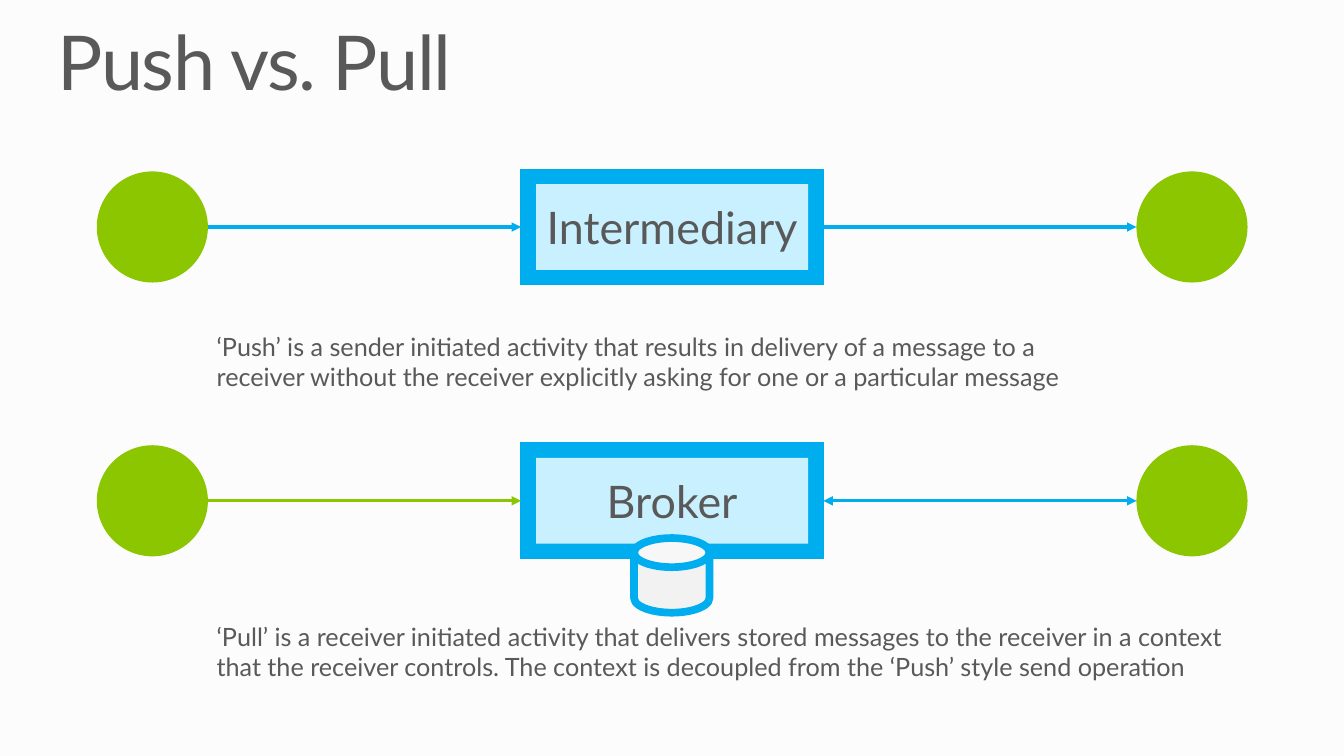
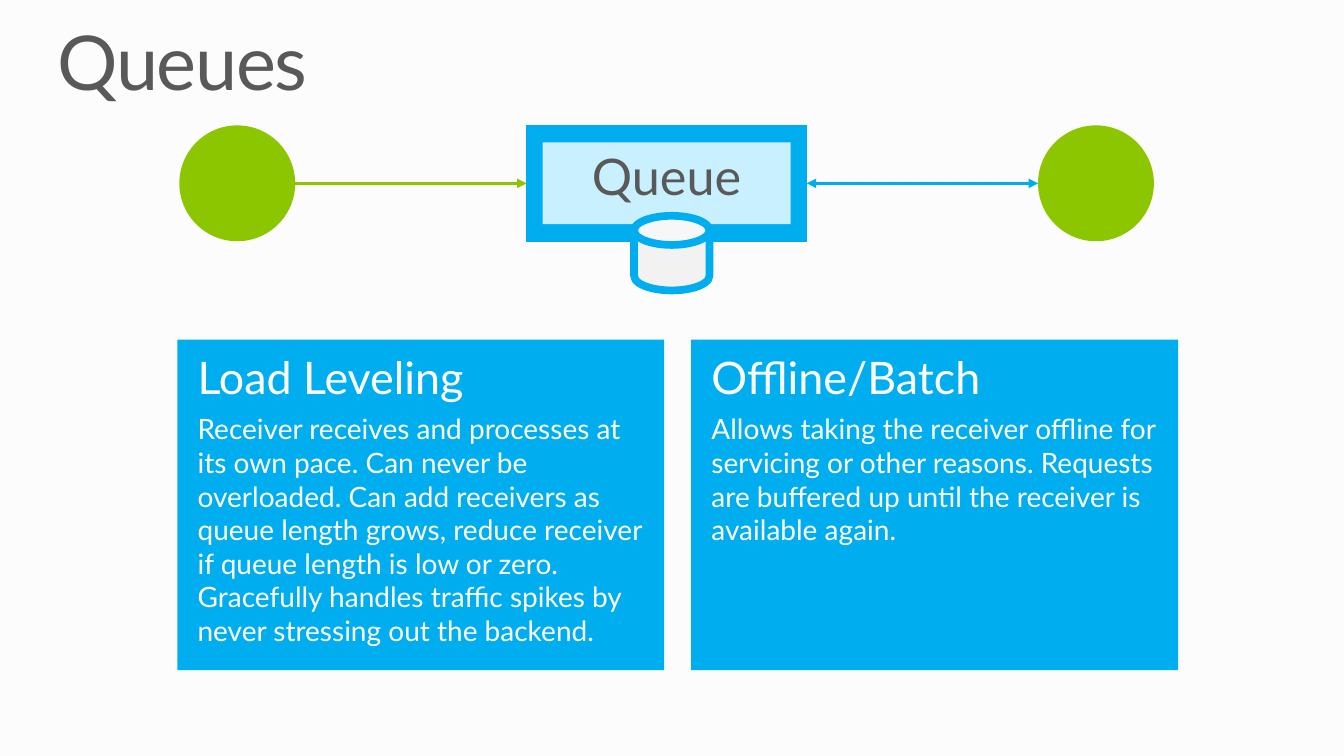
from pptx import Presentation
from pptx.dml.color import RGBColor
from pptx.enum.shapes import MSO_CONNECTOR, MSO_SHAPE as SHAPE
from pptx.enum.text import MSO_ANCHOR as ANCHOR, PP_ALIGN as ALIGN
from pptx.oxml.ns import qn
from pptx.util import Cm, Pt
from lxml.etree import SubElement

# Shared look
FONT = "Lato"
BACKGROUND = RGBColor(0xFC, 0xFC, 0xFC)
GREY = RGBColor(0x59, 0x59, 0x59)
WHITE = RGBColor(0xFF, 0xFF, 0xFF)
BLUE = RGBColor(0x00, 0xAE, 0xEF)
EDGE_BLUE = RGBColor(0x00, 0xAA, 0xEA)
PALE_BLUE = RGBColor(0xC9, 0xF0, 0xFF)
GREEN = RGBColor(0x8C, 0xC6, 0x00)
STORE_GREY = RGBColor(0xF2, 0xF2, 0xF2)
INSETS = (0.25, 0.13, 0.25, 0.13)
STORE_CENTER = 16.93


def set_frame(tf, insets=INSETS, anchor=ANCHOR.MIDDLE):
    tf.word_wrap = True
    tf.vertical_anchor = anchor
    tf.margin_left, tf.margin_top, tf.margin_right, tf.margin_bottom = map(Cm, insets)


def write(p, text, size=18, color=GREY, align=ALIGN.LEFT, after=0,
          line_spacing=None, tracking=None):
    p.alignment = align
    p.space_before, p.space_after = Pt(0), Pt(after)
    if line_spacing:
        p.line_spacing = line_spacing
    r = p.add_run()
    r.text = text
    r.font.name, r.font.size = FONT, Pt(size)
    r.font.color.rgb = color
    if tracking:
        r.font._element.set("spc", str(tracking * 100))


def add_slide(prs, title):
    s = prs.slides.add_slide(prs.slide_layouts[5])
    sp = s.shapes.title
    sp.left, sp.top, sp.width, sp.height = Cm(1.45), Cm(0.64), Cm(31), Cm(2.08)
    set_frame(sp.text_frame, (0, 0, 0, 0), ANCHOR.TOP)
    write(sp.text_frame.paragraphs[0], title, size=54, line_spacing=0.9, tracking=-1)
    return s


def add_shape(s, kind, left, top, width, height, fill, line=None, weight=0.75):
    sp = s.shapes.add_shape(kind, Cm(left), Cm(top), Cm(width), Cm(height))
    sp.shadow.inherit = False
    sp.fill.solid()
    sp.fill.fore_color.rgb = fill
    if line is None:
        sp.line.fill.background()
    else:
        sp.line.color.rgb = line
        sp.line.width = Pt(weight)
    return sp


def add_centered(s, kind, x, y, width, height, fill, line=None):
    return add_shape(s, kind, x - width / 2, y - height / 2, width, height, fill, line)


def add_arrow(s, x1, x2, y, color, both_ends=False):
    c = s.shapes.add_connector(MSO_CONNECTOR.STRAIGHT, Cm(x1), Cm(y), Cm(x2), Cm(y))
    c.line.color.rgb = color
    c.line.width = Pt(2.25)
    ln = c.line._get_or_add_ln()
    for end in ("a:headEnd", "a:tailEnd") if both_ends else ("a:tailEnd",):
        SubElement(ln, qn(end), type="triangle")
    SubElement(c._element.spPr, qn("a:effectLst"))
    return c


def add_store(s, top):
    sp = add_shape(s, SHAPE.CAN, STORE_CENTER - 0.95, top, 1.9, 1.88,
                   STORE_GREY, BLUE, weight=5.5)
    sp.adjustments[0] = 0.39


def add_flow(s, label, x, y, reach, diameter, box, inner, size=32,
             insets=(0, 0.13, 0, 0.13), send=GREEN, pull=True, store_top=None):
    """Sender, labelled box and receiver, centred on (x, y)."""
    for cx in (x - reach, x + reach):
        add_centered(s, SHAPE.OVAL, cx, y, diameter, diameter, GREEN)
    frame = add_centered(s, SHAPE.RECTANGLE, x, y, *box, BLUE, EDGE_BLUE)
    sp = add_centered(s, SHAPE.RECTANGLE, x, y, *inner, PALE_BLUE)
    set_frame(sp.text_frame, insets)
    write(sp.text_frame.paragraphs[0], label, size=size, align=ALIGN.CENTER)

    span, half = reach - diameter / 2, box[0] / 2
    add_arrow(s, x - span, x - half, y, send).end_connect(frame, 1)
    add_arrow(s, x + half, x + span, y, BLUE, pull).begin_connect(frame, 3)
    if store_top is not None:
        add_store(s, store_top)


def add_note(s, text, top, width, height):
    sp = s.shapes.add_textbox(Cm(5.21), Cm(top), Cm(width), Cm(height))
    set_frame(sp.text_frame)
    write(sp.text_frame.paragraphs[0], text)


def add_card(s, left, heading, body):
    sp = add_shape(s, SHAPE.RECTANGLE, left, 8.56, 12.27, 8.33, BLUE)
    tf = sp.text_frame
    set_frame(tf, (0.51, 0.25, 0.25, 0), ANCHOR.TOP)
    write(tf.paragraphs[0], heading, size=32, color=WHITE, after=6)
    write(tf.add_paragraph(), body, size=20, color=WHITE)


def push_pull_slide(prs):
    s = add_slide(prs, "Push vs. Pull")
    layout = dict(x=16.94, reach=13.1, diameter=2.8, box=(7.62, 2.92), inner=(6.86, 2.16))
    add_flow(s, "Intermediary", y=5.72, send=BLUE, pull=False, **layout)
    add_note(s, "‘Push’ is a sender initiated activity that results in delivery of a "
                "message to a receiver without the receiver explicitly asking for one "
                "or a particular message", 7.87, 23.5, 2.49)
    add_flow(s, "Broker", y=12.62, store_top=13.56, **layout)
    add_note(s, "‘Pull’ is a receiver initiated activity that delivers stored messages "
                "to the receiver in a context that the receiver controls. The context "
                "is decoupled from the ‘Push’ style send operation", 14.73, 26, 3.38)


def queues_slide(prs):
    s = add_slide(prs, "Queues")
    cards = (
        ("Load Leveling",
         "Receiver receives and processes at its own pace. Can never be overloaded. "
         "Can add receivers as queue length grows, reduce receiver if queue length is "
         "low or zero. Gracefully handles traffic spikes by never stressing out the "
         "backend."),
        ("Offline/Batch",
         "Allows taking the receiver offline for servicing or other reasons. Requests "
         "are buffered up until the receiver is available again."),
    )
    for i, (heading, body) in enumerate(cards):
        add_card(s, 4.47 + i * 12.95, heading, body)
    add_flow(s, "Queue", x=16.8, y=4.62, reach=10.82, diameter=2.92, box=(7.06, 2.92),
             inner=(6.25, 2.06), size=36, insets=(0.25, 0.13, 0.25, 0.51), store_top=5.44)


def main():
    prs = Presentation()
    prs.slide_width, prs.slide_height = Cm(33.87), Cm(19.05)
    fill = prs.slide_master.background.fill
    fill.solid()
    fill.fore_color.rgb = BACKGROUND
    push_pull_slide(prs)
    queues_slide(prs)
    prs.save("out.pptx")


if __name__ == "__main__":
    main()
